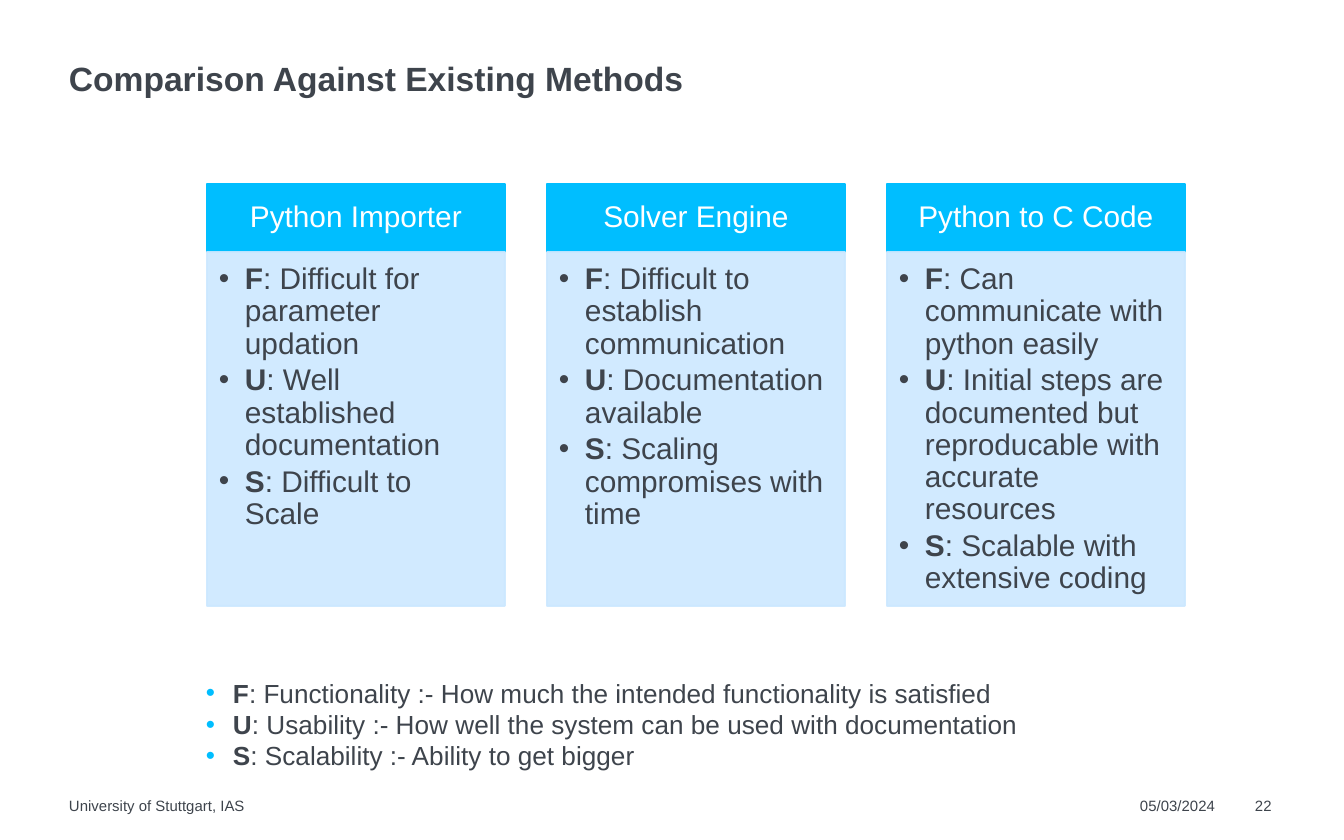
from lxml import etree
from pptx import Presentation
from pptx.dml.color import RGBColor
from pptx.enum.shapes import MSO_SHAPE as Shape
from pptx.enum.text import MSO_ANCHOR as Anchor, MSO_AUTO_SIZE as Fit, PP_ALIGN as Align
from pptx.oxml.ns import qn
from pptx.util import Emu, Pt

DARK, BLUE, PALE, WHITE = "3E444C", "00BEFF", "CCE8FF", "FFFFFF"
LEFT, STEP, WIDE = 207, 340, 298
TOP, HEAD, BODY = 184, 68, 354

CARDS = [
    ("Python Importer", [
        "F: Difficult for parameter updation",
        "U: Well established documentation",
        "S: Difficult to Scale"]),
    ("Solver Engine", [
        "F: Difficult to establish communication",
        "U: Documentation available",
        "S: Scaling compromises with time"]),
    ("Python to C Code", [
        "F: Can communicate with python easily",
        "U: Initial steps are documented but reproducable with accurate resources",
        "S: Scalable with extensive coding"]),
]
LEGEND = [
    "F: Functionality :- How much the intended functionality is satisfied",
    "U: Usability :- How well the system can be used with documentation",
    "S: Scalability :- Ability to get bigger",
]
FOOTER = [
    ("University of Stuttgart, IAS", 69, 891),
    ("05/03/2024", 1140, 78),
    ("22", 1255, 32),
]


def px(num):
    return Emu(round(num * 914400 / 134.4))


def paint(color, code):
    color.rgb = RGBColor.from_string(code)


def place(shape, x, y, w, h):
    shape.left, shape.top, shape.width, shape.height = map(px, (x, y, w, h))


def add_bullet(para, indent, code):
    props = para._p.get_or_add_pPr()
    props.set("marL", str(px(indent)))
    props.set("indent", str(-px(indent)))
    tint = etree.SubElement(props, qn("a:buClr"))
    etree.SubElement(tint, qn("a:srgbClr")).set("val", code)
    etree.SubElement(props, qn("a:buFont")).set("typeface", "Arial")
    etree.SubElement(props, qn("a:buChar")).set("char", "•")


def write(shape, text, size=16, color=DARK, bold=False, align=Align.LEFT,
          anchor=Anchor.TOP, inset=(0, 0, 0, 0), line=1.0, after=0,
          indent=0, dot=DARK):
    frame = shape.text_frame
    frame.word_wrap, frame.auto_size = True, Fit.NONE
    frame.vertical_anchor = anchor
    (frame.margin_left, frame.margin_top,
     frame.margin_right, frame.margin_bottom) = map(px, inset)
    lines = [text] if isinstance(text, str) else text
    for i, item in enumerate(lines):
        para = frame.add_paragraph() if i else frame.paragraphs[0]
        if indent:
            add_bullet(para, indent, dot)
        para.alignment, para.line_spacing = align, line
        para.space_before, para.space_after = Pt(0), Pt(after)
        key, colon, rest = item.partition(":")
        for part, heavy in ((key, bold or bool(indent)), (colon + rest, bold)):
            if part:
                run = para.add_run()
                run.text = part
                font = run.font
                font.name, font.size, font.bold = "Arial", Pt(size), heavy
                paint(font.color, color)


def add_box(slide, y, x, h, code, alpha=100):
    box = slide.shapes.add_shape(Shape.RECTANGLE, px(x), px(y), px(WIDE), px(h))
    box.shadow.inherit = False
    box.fill.solid()
    paint(box.fill.fore_color, code)
    box.line.width = Pt(1)
    paint(box.line.color, code)
    if alpha < 100:
        for node in box._element.spPr.iter(qn("a:srgbClr")):
            etree.SubElement(node, qn("a:alpha")).set("val", str(alpha * 1000))
    return box


def add_card(slide, x, name, points):
    head = add_box(slide, TOP, x, HEAD, BLUE)
    write(head, name, color=WHITE, align=Align.CENTER, anchor=Anchor.MIDDLE,
          inset=(16, 9, 16, 9), line=0.9)
    body = add_box(slide, TOP + HEAD, x, BODY, PALE, 90)
    write(body, points, inset=(12, 12, 16, 19), line=0.9, after=2.4, indent=26)


def add_note(slide, text, x, w):
    note = slide.shapes.add_textbox(px(x), px(797), px(w), px(19))
    write(note, text, size=8)


def main():
    deck = Presentation()
    deck.slide_width, deck.slide_height = px(1344), px(840)
    slide = deck.slides.add_slide(deck.slide_layouts[1])
    title, legend = slide.placeholders
    place(title, 69, 59, 1207, 40)
    write(title, "Comparison Against Existing Methods", size=18, bold=True,
          anchor=Anchor.BOTTOM, line=0.9)
    for i, (name, points) in enumerate(CARDS):
        add_card(slide, LEFT + i * STEP, name, points)
    place(legend, 206, 677, 821, 103)
    write(legend, LEGEND, size=14, indent=27, dot=BLUE)
    for text, x, w in FOOTER:
        add_note(slide, text, x, w)
    deck.save("out.pptx")


if __name__ == "__main__":
    main()
